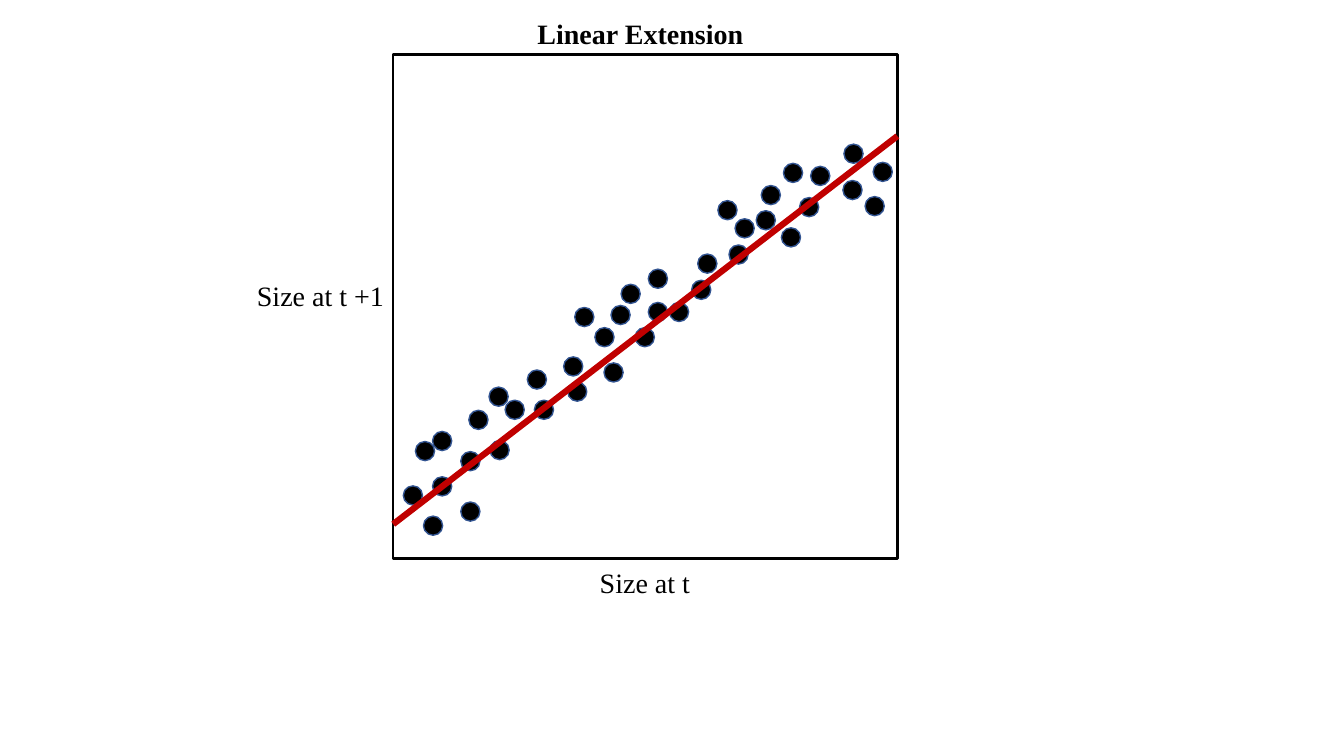
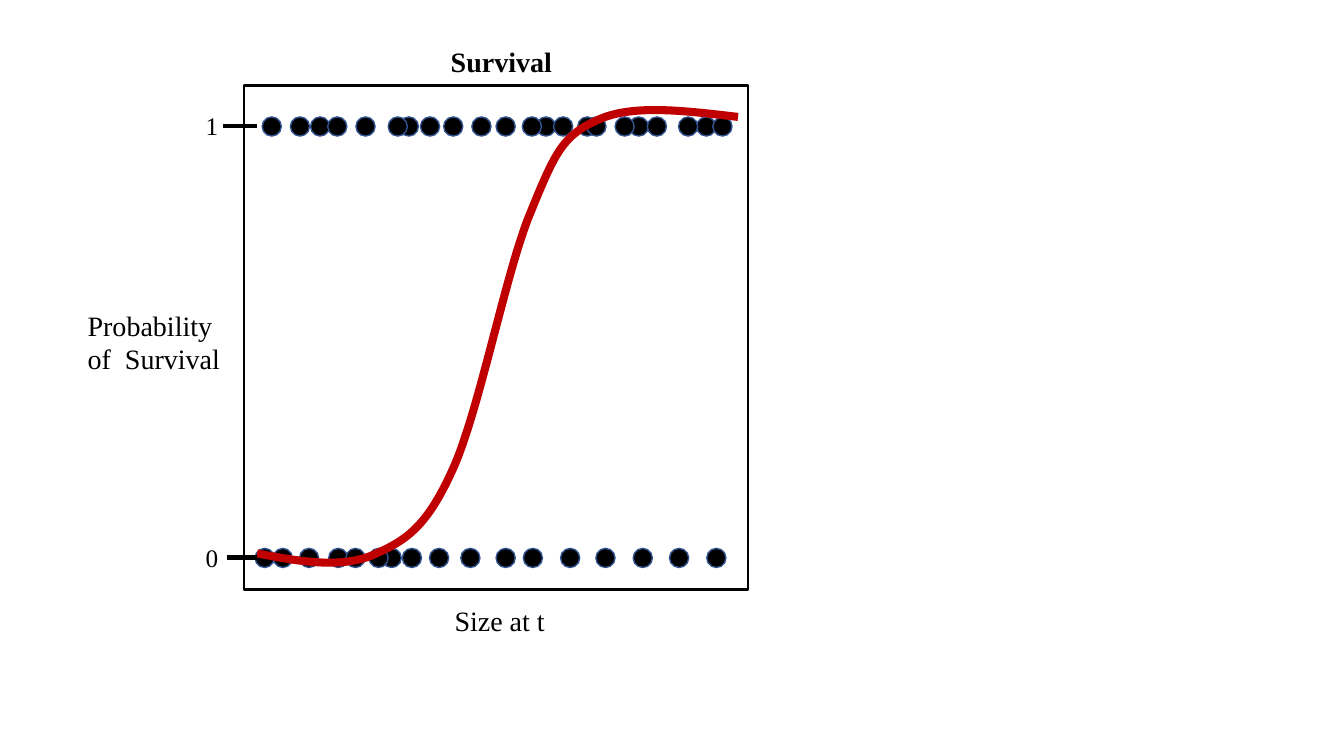
import lxml.etree
import pptx
import pptx.dml.color
import pptx.enum.shapes
import pptx.enum.text
import pptx.oxml.ns
import pptx.util

Inches = pptx.util.Inches
COLORS = {"ink": "000000", "paper": "FFFFFF", "dot_edge": "325491", "fit": "C00000"}
FONT = "Times New Roman"
PLOT_SIZE = 5
DOT_SIZE = 0.19

GROWTH_DOTS = [
    (0.39, 4.19), (0.67, 4.44), (0.67, 3.94), (0.1, 4.28), (2.74, 2.46),
    (4.68, 1.41), (3.85, 1.72), (1.33, 3.13), (2, 2.71), (2.4, 2.71),
    (2.53, 2.13), (1.69, 3), (3.02, 1.98), (2.26, 2.28), (0.39, 3.74),
    (0.75, 3.53), (3.87, 1.08), (4.46, 1.25), (4.47, 0.89), (0.96, 3.83),
    (1.11, 3.43), (0.22, 3.84), (4.14, 1.11), (3.33, 1.89), (3.22, 1.45),
    (3.6, 1.55), (4.76, 1.07), (0.95, 3.3), (4.03, 1.42), (0.3, 4.58),
    (2.53, 2.46), (2.96, 2.24), (2.09, 3.06), (2.16, 2.49), (1.8, 2.51),
    (1.73, 3.25), (1.4, 3.43), (3.65, 1.3), (3.39, 1.63),
]
SURVIVED = [
    0.66, 1.75, 3.31, 2.5, 1.54, 1.98, 1.43, 3.82, 4.49, 0.83, 4.65,
    4, 2.9, 3.68, 2.26, 0.46, 3.07, 4.31, 3.4, 1.11, 0.18, 2.76,
]
DIED = [
    0.29, 0.84, 0.11, 4.59, 2.5, 2.77, 3.86, 1.57, 1.01,
    1.37, 0.55, 3.14, 3.49, 2.15, 4.22, 1.84, 1.24,
]
SURVIVAL_DOTS = [(x, 0.31) for x in SURVIVED] + [(x, 4.59) for x in DIED]
SURVIVAL_START = (0.13, 4.64)
SURVIVAL_CURVE = [
    [(0.54, 4.72), (0.95, 4.79), (1.27, 4.66)],
    [(1.59, 4.52), (1.8, 4.4), (2.06, 3.83)],
    [(2.33, 3.26), (2.6, 1.82), (2.85, 1.24)],
    [(3.09, 0.65), (3.17, 0.49), (3.51, 0.34)],
    [(3.85, 0.18), (4.38, 0.25), (4.9, 0.31)],
]


def color(name):
    """Return the named palette colour."""
    return pptx.dml.color.RGBColor.from_string(COLORS[name])


def set_line(shape, name, width):
    """Give a shape or connector a solid line."""
    shape.line.color.rgb = color(name)
    shape.line.width = pptx.util.Pt(width)


def place(shape, origin, box):
    """Place a shape in a box measured from the origin."""
    left, top, width, height = box
    shape.left, shape.top = Inches(origin[0] + left), Inches(origin[1] + top)
    shape.width, shape.height = Inches(width), Inches(height)


def write_text(shape, lines, size=20, bold=False):
    """Write left-aligned lines from the top of a shape."""
    frame = shape.text_frame
    frame.word_wrap = True
    frame.auto_size = pptx.enum.text.MSO_AUTO_SIZE.NONE
    frame.vertical_anchor = pptx.enum.text.MSO_ANCHOR.TOP
    for index, line in enumerate(lines):
        paragraph = frame.add_paragraph() if index else frame.paragraphs[0]
        paragraph.alignment = pptx.enum.text.PP_ALIGN.LEFT
        run = paragraph.add_run()
        run.text = line
        run.font.name = FONT
        run.font.size = pptx.util.Pt(size)
        run.font.bold = bold
        run.font.color.rgb = color("ink")


def add_label(slide, origin, box, lines, size=20):
    """Add a text label beside the plot."""
    label = slide.shapes.add_textbox(0, 0, 0, 0)
    place(label, origin, box)
    write_text(label, lines, size)


def add_solid(slide, kind, origin, box, fill, edge, width):
    """Add a filled and outlined preset shape."""
    shape = slide.shapes.add_shape(kind, 0, 0, 0, 0)
    place(shape, origin, box)
    shape.shadow.inherit = False
    shape.fill.solid()
    shape.fill.fore_color.rgb = color(fill)
    set_line(shape, edge, width)


def add_straight(slide, origin, start, end, name, width):
    """Add a straight line between two points of the plot."""
    ends = [Inches(base + offset) for point in (start, end) for base, offset in zip(origin, point)]
    line = slide.shapes.add_connector(pptx.enum.shapes.MSO_CONNECTOR.STRAIGHT, *ends)
    set_line(line, name, width)
    properties = line._element.spPr
    lxml.etree.SubElement(properties, pptx.oxml.ns.qn("a:effectLst"))


def add_curve(slide, origin, start, segments, name, width):
    """Add an open curve made of cubic segments."""
    def absolute(point):
        """Return a plot point in slide units."""
        return tuple(Inches(base + offset) for base, offset in zip(origin, point))

    builder = slide.shapes.build_freeform(*absolute(start))
    builder.add_line_segments([absolute(segment[-1]) for segment in segments], close=False)
    curve = builder.convert_to_shape()
    qn = pptx.oxml.ns.qn
    for straight, segment in zip(list(curve._element.iter(qn("a:lnTo"))), segments):
        cubic = lxml.etree.Element(qn("a:cubicBezTo"))
        for point in segment:
            x, y = absolute(point)
            lxml.etree.SubElement(cubic, qn("a:pt"), x=str(x - curve.left), y=str(y - curve.top))
        straight.getparent().replace(straight, cubic)
    curve.shadow.inherit = False
    curve.fill.background()
    set_line(curve, name, width)


def add_plot_slide(presentation, origin, title, title_box, dots):
    """Add a titled slide with a framed scatter of dots."""
    slide = presentation.slides.add_slide(presentation.slide_layouts[5])
    place(slide.shapes.title, origin, title_box)
    write_text(slide.shapes.title, [title], bold=True)
    kinds = pptx.enum.shapes.MSO_SHAPE
    frame_box = (0, 0, PLOT_SIZE, PLOT_SIZE)
    add_solid(slide, kinds.RECTANGLE, origin, frame_box, "paper", "ink", 1.75)
    for x, y in dots:
        add_solid(slide, kinds.OVAL, origin, (x, y, DOT_SIZE, DOT_SIZE), "ink", "dot_edge", 1)
    return slide


def build_growth(presentation, origin):
    """Build the linear extension slide."""
    slide = add_plot_slide(
        presentation, origin, "Linear Extension", (1.33, -0.43, 2.38, 0.44), GROWTH_DOTS)
    add_label(slide, origin, (1.95, 5.02, 1.17, 0.44), ["Size at t"])
    add_label(slide, origin, (-1.45, 2.17, 1.6, 0.44), ["Size at t +1"])
    add_straight(slide, origin, (0, 4.66), (PLOT_SIZE, 0.81), "fit", 4.5)


def build_survival(presentation, origin):
    """Build the survival slide."""
    slide = add_plot_slide(
        presentation, origin, "Survival", (1.95, -0.46, 1.26, 0.44), SURVIVAL_DOTS)
    add_label(slide, origin, (1.99, 5.09, 1.17, 0.44), ["Size at t"])
    add_label(slide, origin, (-1.65, 2.16, 1.75, 0.77), ["Probability", "of  Survival"])
    add_curve(slide, origin, SURVIVAL_START, SURVIVAL_CURVE, "fit", 5.75)
    for value, start, y in (("1", -0.21, 0.4), ("0", -0.17, 4.68)):
        add_straight(slide, origin, (start, y), (0.13, y), "ink", 3)
        add_label(slide, origin, (-0.48, y - 0.2, 0.38, 0.4), [value], size=18)


def main():
    """Build and save the presentation."""
    presentation = pptx.Presentation()
    presentation.slide_width = Inches(13.33)
    presentation.slide_height = Inches(7.5)
    build_growth(presentation, (3.9, 0.54))
    build_survival(presentation, (2.42, 0.85))
    presentation.save("out.pptx")


if __name__ == "__main__":
    main()
